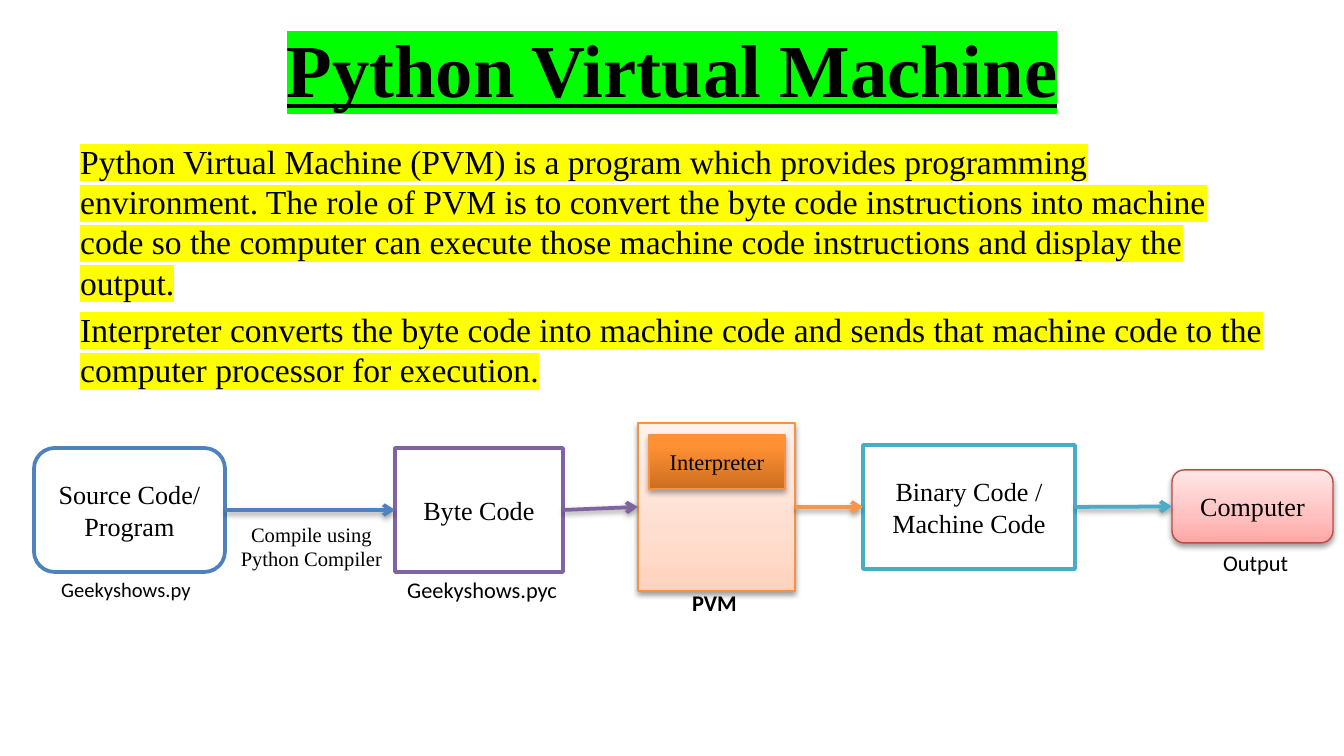
from dataclasses import dataclass

from lxml import etree
from pptx import Presentation
from pptx.dml.color import RGBColor
from pptx.enum.shapes import MSO_CONNECTOR, MSO_SHAPE
from pptx.enum.text import MSO_ANCHOR, MSO_AUTO_SIZE, PP_ALIGN
from pptx.oxml.ns import qn
from pptx.util import Emu, Pt

RECT, ROUNDED = MSO_SHAPE.RECTANGLE, MSO_SHAPE.ROUNDED_RECTANGLE
STRAIGHT = MSO_CONNECTOR.STRAIGHT
LEFT, CENTER = PP_ALIGN.LEFT, PP_ALIGN.CENTER
TOP, MIDDLE = MSO_ANCHOR.TOP, MSO_ANCHOR.MIDDLE
LEFT_SIDE, RIGHT_SIDE = 1, 3
SLIDE_W, SLIDE_H = 1344, 756
SCALE = 9144000 / SLIDE_W


@dataclass(frozen=True)
class Theme:
    serif: str = "Times New Roman"
    sans: str = "Calibri"
    ink: str = "000000"
    paper: str = "FFFFFF"
    title_mark: str = "00FF00"
    body_mark: str = "FFFF00"
    blue: str = "4F81BD"
    purple: str = "8064A2"
    orange: str = "F79646"
    teal: str = "4BACC6"
    red_edge: str = "BF4C48"
    orange_edge: str = "F69240"
    red_fade: tuple = ((0, "FFA6A5"), (35, "FFC0BF"), (100, "FFE7E7"))
    peach_fade: tuple = ((0, "FFD2BD"), (35, "FFDED0"), (100, "FFF2ED"))
    orange_fade: tuple = ((0, "CC6E20"), (80, "FF9034"), (100, "FF9136"))
    title_size: int = 40
    body_size: int = 18
    node_size: int = 14
    label_size: int = 12
    small_size: int = 11
    thick: float = 2
    thin: float = 0.75


T = Theme()


def px(n):
    return Emu(round(n * SCALE))


def place(box, x, y, w, h):
    """Turn a place inside box into slide lengths."""
    return px(box[0] + x), px(box[1] + y), px(w), px(h)


def sub(parent, tag, **attrs):
    return etree.SubElement(parent, qn(tag), {k: str(v) for k, v in attrs.items()})


def write(tf, lines, size, font=T.serif, align=LEFT, mark=None, **formats):
    for i, text in enumerate(lines):
        p = tf.paragraphs[0] if i == 0 else tf.add_paragraph()
        p.alignment = align
        r = p.add_run()
        r.text = text
        for name, value in {"size": Pt(size), "name": font, **formats}.items():
            setattr(r.font, name, value)
        r.font.color.rgb = RGBColor.from_string(T.ink)
        if mark:
            highlight = etree.Element(qn("a:highlight"))
            sub(highlight, "a:srgbClr", val=mark)
            r.font._element.find(qn("a:solidFill")).addnext(highlight)


def add_shadow(effects, alpha=38, distance=1.6):
    shadow = sub(effects, "a:outerShdw", blurRad=Pt(3.1), dist=Pt(distance),
                 dir=5400000, rotWithShape=0)
    color = sub(shadow, "a:srgbClr", val=T.ink)
    sub(color, "a:alpha", val=alpha * 1000)


def fade(shape, stops):
    """Fill the shape with a gradient that runs from bottom to top."""
    grad = etree.Element(qn("a:gradFill"), rotWithShape="1")
    stop_list = sub(grad, "a:gsLst")
    for pos, color in stops:
        sub(sub(stop_list, "a:gs", pos=pos * 1000), "a:srgbClr", val=color)
    sub(grad, "a:lin", ang=16200000, scaled=0)
    shape._element.spPr.find(qn("a:prstGeom")).addnext(grad)


def add_node(s, area, kind, edge, text=None, size=T.node_size, stops=None, **shadow):
    sp = s.shapes.add_shape(kind, *area)
    sp.shadow.inherit = False
    if stops:
        fade(sp, stops)
        add_shadow(sp._element.spPr.find(qn("a:effectLst")), **shadow)
    else:
        sp.fill.solid()
        sp.fill.fore_color.rgb = RGBColor.from_string(T.paper)
    sp.line.color.rgb = RGBColor.from_string(edge)
    sp.line.width = Pt(T.thin if stops else T.thick)
    if text:
        sp.text_frame.word_wrap = True
        sp.text_frame.vertical_anchor = MIDDLE
        write(sp.text_frame, [text], size, align=CENTER)
    return sp


def add_arrow(s, start, end, color):
    line = s.shapes.add_connector(STRAIGHT, 0, 0, 0, 0)
    line.begin_connect(start, RIGHT_SIDE)
    line.end_connect(end, LEFT_SIDE)
    line.line.color.rgb = RGBColor.from_string(color)
    line.line.width = Pt(T.thick)
    sub(line.line._get_or_add_ln(), "a:tailEnd", type="arrow")
    add_shadow(sub(line._element.spPr, "a:effectLst"))


def add_label(s, area, lines, size=T.label_size, **formats):
    tf = s.shapes.add_textbox(*area).text_frame
    tf.word_wrap = False
    tf.auto_size = MSO_AUTO_SIZE.SHAPE_TO_FIT_TEXT
    write(tf, lines, size, **formats)


def add_title(s, box):
    sp = s.shapes.title
    sp.left, sp.top, sp.width, sp.height = map(px, box)
    sp.text_frame.vertical_anchor = MIDDLE
    write(sp.text_frame, ["Python Virtual Machine"], T.title_size, align=CENTER,
          mark=T.title_mark, bold=True, underline=True)


def add_body(s, box):
    tf = s.shapes.add_textbox(*map(px, box)).text_frame
    tf.word_wrap = True
    tf.vertical_anchor = TOP
    write(tf, [
        "Python Virtual Machine (PVM) is a program which provides programming "
        "environment. The role of PVM is to convert the byte code instructions "
        "into machine code so the computer can execute those machine code "
        "instructions and display the output.",
        "Interpreter converts the byte code into machine code and sends that "
        "machine code to the computer processor for execution.",
    ], T.body_size, mark=T.body_mark)
    for p in tf.paragraphs:
        p.line_spacing = Pt(1.2 * T.body_size)
    tf.paragraphs[1].space_before = Pt(0.2 * T.body_size)


def add_flow(s, box):
    """Draw the steps from source code to output, their arrows and labels."""
    source = add_node(s, place(box, 0, 25, 191, 124), ROUNDED, T.blue,
                      "Source Code/ Program")
    byte_code = add_node(s, place(box, 361, 25, 168, 124), RECT, T.purple, "Byte Code")
    pvm = add_node(s, place(box, 604, 0, 157, 168), RECT, T.orange_edge,
                   stops=T.peach_fade)
    add_node(s, place(box, 615, 12, 136, 54), RECT, T.orange_edge, "Interpreter",
             T.label_size, T.orange_fade, alpha=35, distance=1.8)
    binary = add_node(s, place(box, 829, 22, 212, 124), RECT, T.teal,
                      "Binary Code / Machine Code")
    computer = add_node(s, place(box, 1138, 47, 161, 73), ROUNDED, T.red_edge,
                        "Computer", stops=T.red_fade)

    steps = [source, byte_code, pvm, binary, computer]
    colors = [T.blue, T.purple, T.orange, T.teal]
    for start, end, color in zip(steps, steps[1:], colors):
        add_arrow(s, start, end, color)

    add_label(s, place(box, 193, 92, 169, 63), ["Compile using", "Python Compiler"],
              T.small_size, align=CENTER)
    add_label(s, place(box, 14, 147, 159, 39), ["Geekyshows.py"], T.small_size,
              font=T.sans)
    add_label(s, place(box, 360, 147, 181, 40), ["Geekyshows.pyc"], font=T.sans)
    add_label(s, place(box, 645, 160, 73, 40), ["PVM"], font=T.sans, bold=True)
    add_label(s, place(box, 1176, 120, 93, 40), ["Output"], font=T.sans)


def main():
    prs = Presentation()
    prs.slide_width, prs.slide_height = px(SLIDE_W), px(SLIDE_H)
    s = prs.slides.add_slide(prs.slide_layouts[5])
    add_title(s, (67, 5, 1210, 126))
    add_body(s, (67, 134, 1210, 267))
    add_flow(s, (34, 423, 1299, 200))
    prs.save("out.pptx")


if __name__ == "__main__":
    main()
